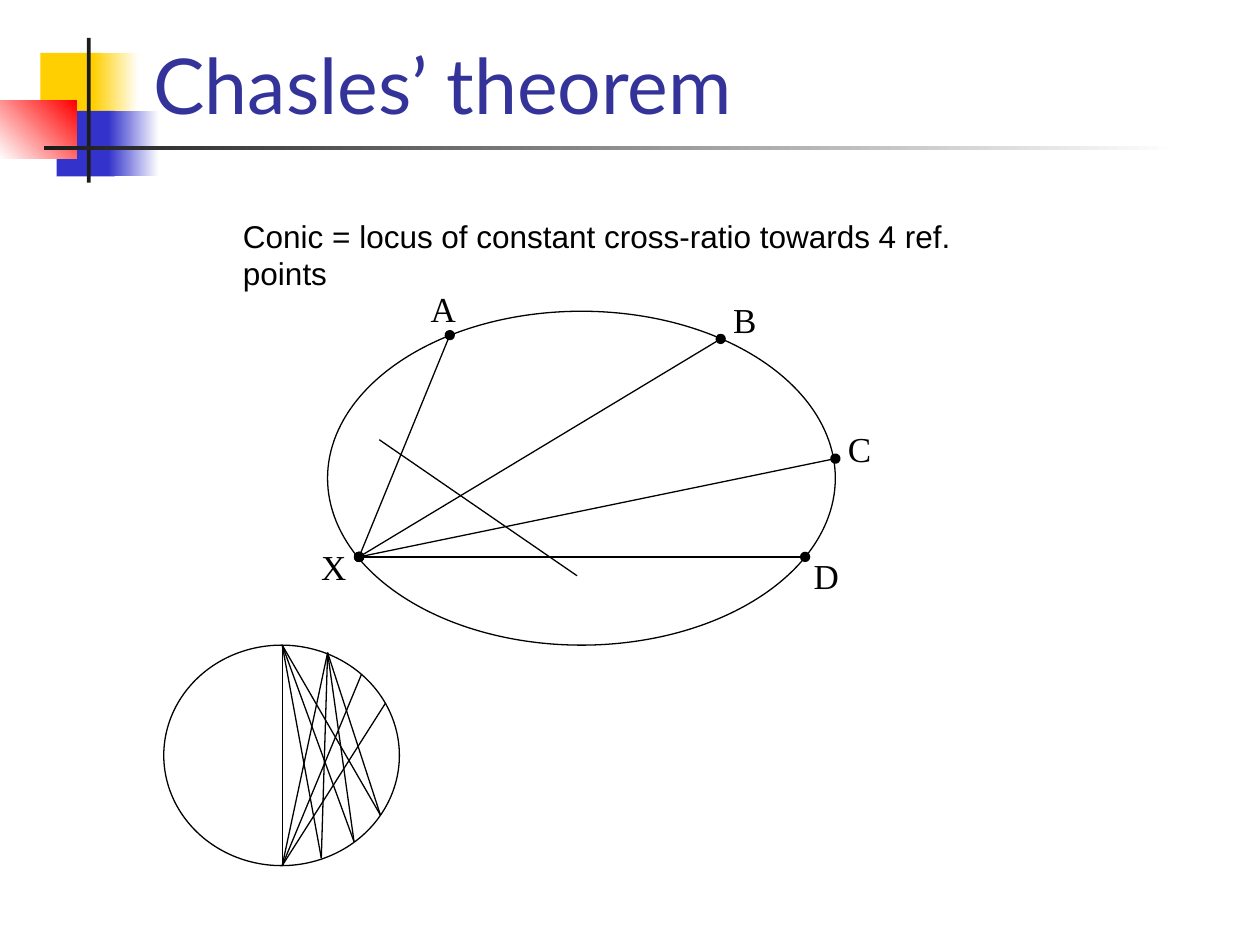
from lxml.etree import SubElement
from pptx import Presentation
from pptx.dml.color import RGBColor
from pptx.enum.shapes import MSO_CONNECTOR as Connector, MSO_SHAPE as Shape
from pptx.enum.text import MSO_ANCHOR as Anchor
from pptx.oxml.ns import qn
from pptx.util import Inches, Pt

COLORS = {"yellow": "FFCF01", "blue": "3333CC", "red": "FF0000", "dark": "1C1C1C",
          "white": "FFFFFF", "title": "333399", "ink": "000000"}

# Content: places are in columns and rows of a 10 by 7.5 grid
# Ornament: left, top, width, height, colour, end colour, angle
ORNAMENT = [
    (0.32, 0.42, 0.48, 0.52, "yellow", None, 0),
    (0.74, 0.42, 0.36, 0.52, "yellow", "white", 0),
    (0.45, 0.88, 0.46, 0.52, "blue", None, 0),
    (0.86, 0.88, 0.40, 0.52, "blue", "white", 0),
    (0, 0.80, 0.61, 0.46, "white", "red", 45),
    (0.69, 0.30, 0.03, 1.15, "dark", None, 0),
    (0.35, 1.16, 9, 0.03, "dark", "white", 0),
]
TITLE = ("Chasles’ theorem", (1.12, 0.17, 7.32, 0.91), 44, "Lato", "title")
CAPTION = ("Conic = locus of constant cross-ratio towards 4 ref. points",
           (1.83, 1.67, 6.55, 0.4), 18, "Arial", "ink")

CONIC = (2.6, 2.47, 4.03, 2.65)
POINTS = {"X": (2.85, 4.42), "A": (3.57, 2.66), "B": (5.72, 2.69),
          "C": (6.63, 3.64), "D": (6.39, 4.42)}
# Label: left, top, width
LABELS = {"A": (3.32, 2.23, 0.4), "B": (5.72, 2.32, 0.38), "C": (6.63, 3.34, 0.38),
          "D": (6.36, 4.35, 0.4), "X": (2.45, 4.28, 0.4)}
LABEL_HEIGHT = 0.44
TRANSVERSAL = ((3.01, 3.49), (4.58, 4.57))

CIRCLE = (1.3, 5.12, 1.87, 1.75)
TOP, BOTTOM, SHOULDER = (2.24, 5.12), (2.24, 6.87), (2.6, 5.18)
LOWER_ARC = [(2.55, 6.81), (2.81, 6.68), (3.02, 6.47)]
UPPER_ARC = [TOP, SHOULDER, (2.87, 5.35), (3.06, 5.58)]

# Deck and grid
deck = Presentation()
deck.slide_width, deck.slide_height = Inches(10), Inches(7.5)
CELL = deck.slide_width / 10
page = deck.slides.add_slide(deck.slide_layouts[6])


def place(*cells):
    return [round(cell * CELL) for cell in cells]


def color(name):
    return RGBColor.from_string(COLORS[name])


def draw_block(left, top, width, height, start, end, angle):
    block = page.shapes.add_shape(Shape.RECTANGLE, *place(left, top, width, height))
    block.shadow.inherit = False
    block.line.fill.background()
    if end is None:
        block.fill.solid()
        block.fill.fore_color.rgb = color(start)
        return
    block.fill.gradient()
    block.fill.gradient_angle = angle
    for stop, name in zip(block.fill.gradient_stops, (start, end)):
        stop.color.rgb = color(name)


def draw_ellipse(area):
    ellipse = page.shapes.add_shape(Shape.OVAL, *place(*area))
    ellipse.shadow.inherit = False
    ellipse.fill.background()
    ellipse.line.color.rgb = color("ink")
    ellipse.line.width = Pt(0.75)


def draw_line(start, end, dots=False):
    line = page.shapes.add_connector(Connector.STRAIGHT, *place(*start, *end))
    line.line.color.rgb = color("ink")
    line.line.width = Pt(0.75)
    if dots:
        outline = line.line._get_or_add_ln()
        for tag in ("a:headEnd", "a:tailEnd"):
            SubElement(outline, qn(tag), type="oval")
    SubElement(line._element.spPr, qn("a:effectLst"))


def write(text, area, size, font, ink, wrap=False, anchor=Anchor.TOP, before=0):
    box = page.shapes.add_textbox(*place(*area))
    frame = box.text_frame
    frame.text = text
    frame.word_wrap = wrap
    frame.vertical_anchor = anchor
    para = frame.paragraphs[0]
    para.space_before = Pt(before)
    span = para.runs[0]
    span.font.size = Pt(size)
    span.font.name = font
    span.font.color.rgb = color(ink)


# Ornament and title
for block in ORNAMENT:
    draw_block(*block)
write(*TITLE, wrap=True, anchor=Anchor.BOTTOM)

# Conic with the pencil of lines from X
draw_ellipse(CONIC)
for name in "BCDA":
    draw_line(POINTS["X"], POINTS[name], dots=True)
for name, (left, top, width) in LABELS.items():
    write(name, (left, top, width, LABEL_HEIGHT), 20, "Times New Roman", "ink")
draw_line(*TRANSVERSAL)
write(*CAPTION, before=4.5)

# Circle with three pencils of chords
draw_ellipse(CIRCLE)
for point in UPPER_ARC:
    draw_line(BOTTOM, point)
for apex in (TOP, SHOULDER):
    for point in LOWER_ARC:
        draw_line(point, apex)

deck.save("out.pptx")
